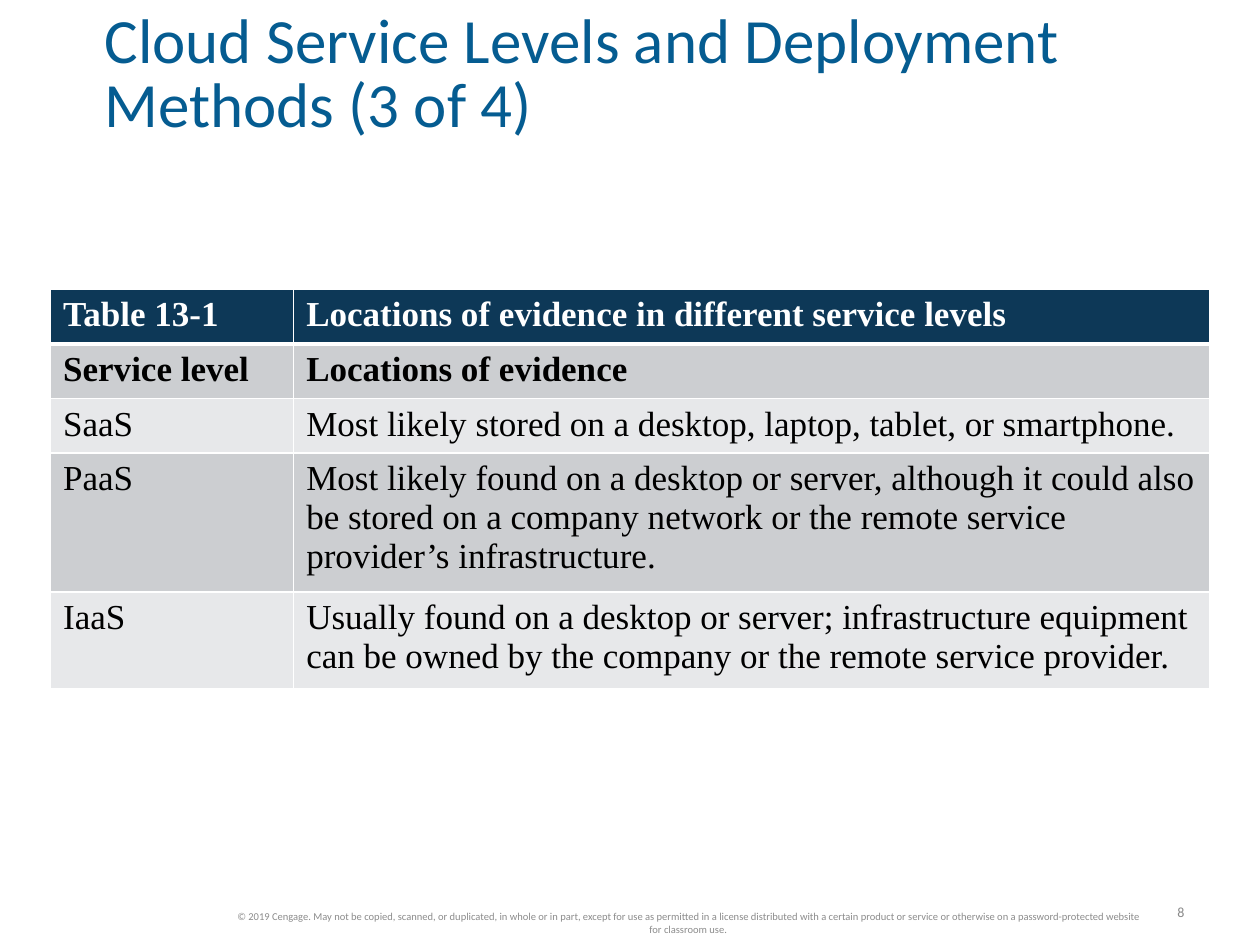
import dataclasses

import lxml.etree
import pptx
import pptx.dml.color
import pptx.enum.text
import pptx.oxml.ns
import pptx.util

Cm = pptx.util.Cm
Align = pptx.enum.text.PP_ALIGN
Anchor = pptx.enum.text.MSO_ANCHOR


@dataclasses.dataclass(frozen=True)
class Theme:
    sans: str = "Calibri"
    serif: str = "Times New Roman"
    blue: str = "055C91"
    navy: str = "0D3857"
    dark: str = "CCCED1"
    light: str = "E7E8EA"
    white: str = "FFFFFF"
    black: str = "000000"
    page: str = "898989"
    legal: str = "8C8C8C"
    title_size: float = 36
    cell_size: float = 20
    page_size: float = 8
    legal_size: float = 6


class Deck:
    def __init__(self, theme):
        self.theme = theme
        self.file = pptx.Presentation()
        self.file.slide_width, self.file.slide_height = Cm(25.4), Cm(19.05)
        self.slide = self.file.slides.add_slide(self.file.slide_layouts[6])

    def run(self, para, text, font, size, color, bold=False):
        run = para.add_run()
        run.text = text
        run.font.name = font
        run.font.size = pptx.util.Pt(size)
        run.font.bold = bold
        run.font.color.rgb = pptx.dml.color.RGBColor.from_string(color)

    def text(self, box, text, size, color, align=Align.LEFT, wrap=True,
             inset=None, space=None):
        """Add a text box; box is left, top, width and height in cm."""
        frame = self.slide.shapes.add_textbox(*map(Cm, box)).text_frame
        frame.word_wrap = wrap
        frame.vertical_anchor = Anchor.MIDDLE
        if inset is not None:
            frame.margin_left = frame.margin_right = Cm(inset)
            frame.margin_top = frame.margin_bottom = Cm(inset)
        para = frame.paragraphs[0]
        para.alignment = align
        if space:
            para.line_spacing = space
        self.run(para, text, self.theme.sans, size, color)

    def edge(self, cell, base):
        """Draw white cell borders, the bottom one base points wide."""
        props = cell._tc.get_or_add_tcPr()
        widths = {"lnL": 1, "lnR": 1, "lnT": 1, "lnB": base}
        for spot, (tag, width) in enumerate(widths.items()):
            line = lxml.etree.Element(pptx.oxml.ns.qn(f"a:{tag}"),
                                      w=str(pptx.util.Pt(width)))
            fill = lxml.etree.SubElement(line, pptx.oxml.ns.qn("a:solidFill"))
            lxml.etree.SubElement(fill, pptx.oxml.ns.qn("a:srgbClr"),
                                  val=self.theme.white)
            props.insert(spot, line)

    def cell(self, cell, text, fill, color, bold, base):
        cell.fill.solid()
        cell.fill.fore_color.rgb = pptx.dml.color.RGBColor.from_string(fill)
        self.run(cell.text_frame.paragraphs[0], text, self.theme.serif,
                 self.theme.cell_size, color, bold)
        self.edge(cell, base)

    def table(self, left, top, cols, heights, rows):
        look = self.theme
        table = self.slide.shapes.add_table(
            len(rows), len(cols), Cm(left), Cm(top),
            Cm(sum(cols)), Cm(sum(heights))).table
        for col, width in zip(table.columns, cols):
            col.width = Cm(width)
        for row, height in zip(table.rows, heights):
            row.height = Cm(height)
        for i, row in enumerate(rows):
            head = i == 0
            fill = look.navy if head else look.dark if i % 2 else look.light
            color = look.white if head else look.black
            # The two heading rows are bold; a thick rule closes the first.
            for j, text in enumerate(row):
                self.cell(table.cell(i, j), text, fill, color,
                          bold=i < 2, base=3 if head else 1)


def main():
    look = Theme()
    deck = Deck(look)
    deck.text((23.27, 18.08, 0.86, 0.61), "8", look.page_size, look.page,
              Align.RIGHT, wrap=False)
    deck.text((2.11, 0.23, 22.3, 2.62),
              "Cloud Service Levels and Deployment Methods (3 of 4)",
              look.title_size, look.blue, inset=0, space=0.85)
    deck.text((4.45, 18.26, 18.85, 0.69),
              "© 2019 Cengage. May not be copied, scanned, or duplicated, in "
              "whole or in part, except for use as permitted in a license "
              "distributed with a certain product or service or otherwise on "
              "a password-protected website for classroom use.",
              look.legal_size, look.legal, Align.CENTER)
    deck.table(1.02, 5.83, (4.9, 18.47), (1.04, 1.04, 1.04, 2.62, 1.8), (
        ("Table 13-1", "Locations of evidence in different service levels"),
        ("Service level", "Locations of evidence"),
        ("SaaS",
         "Most likely stored on a desktop, laptop, tablet, or smartphone."),
        ("PaaS",
         "Most likely found on a desktop or server, although it could also be "
         "stored on a company network or the remote service provider’s "
         "infrastructure."),
        ("IaaS",
         "Usually found on a desktop or server; infrastructure equipment can "
         "be owned by the company or the remote service provider."),
    ))
    deck.file.save("out.pptx")


if __name__ == "__main__":
    main()
